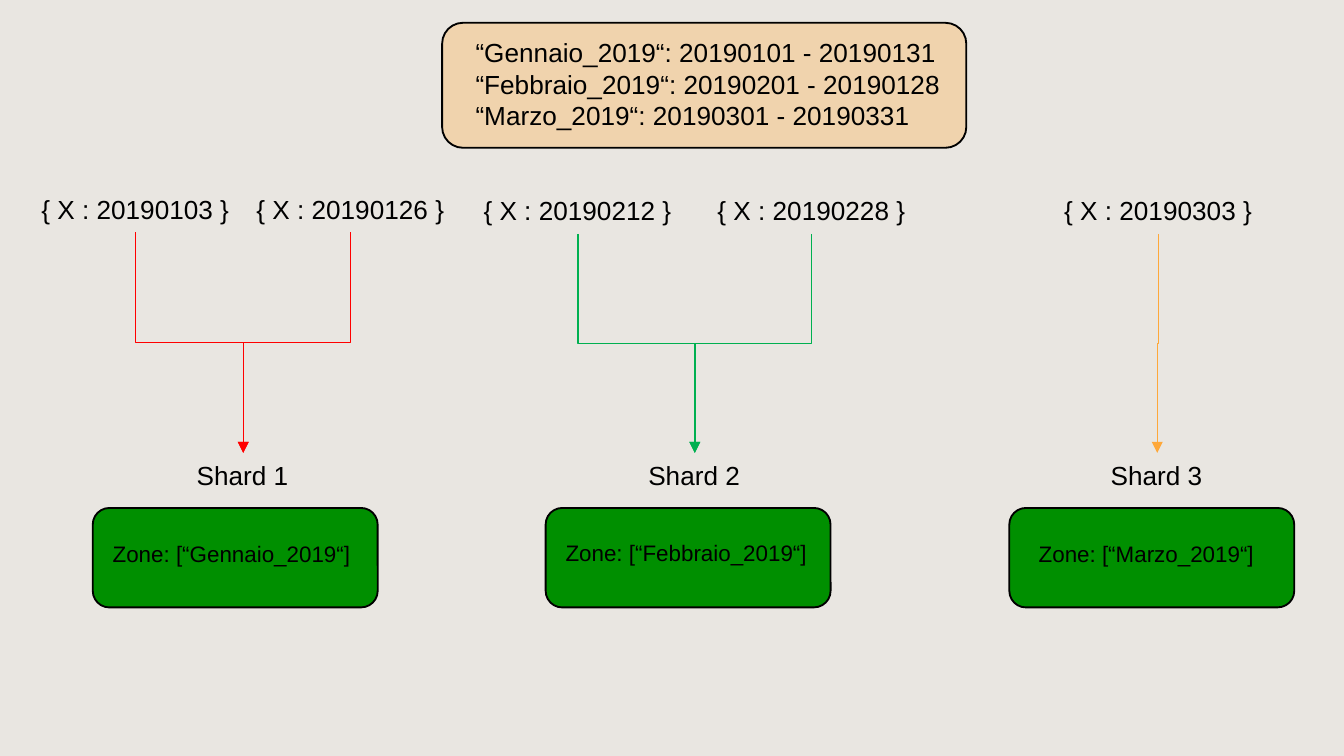
from dataclasses import dataclass

from lxml import etree
from pptx import Presentation
from pptx.dml.color import RGBColor
from pptx.enum.shapes import MSO_CONNECTOR, MSO_SHAPE
from pptx.enum.text import MSO_ANCHOR, MSO_AUTO_SIZE, PP_ALIGN
from pptx.oxml.ns import qn
from pptx.util import Inches, Pt

ROUNDED = MSO_SHAPE.ROUNDED_RECTANGLE
RECTANGLE = MSO_SHAPE.RECTANGLE
ELBOW = MSO_CONNECTOR.ELBOW
TOP = MSO_ANCHOR.TOP
LEFT = PP_ALIGN.LEFT
GROW = MSO_AUTO_SIZE.SHAPE_TO_FIT_TEXT

FONT = "Arial"
COLORS = {
    "background": "E9E6E1",
    "text": "000000",
    "zone": "008F00",
    "ranges": "FFAB40",
    "january": "FF0000",
    "february": "00B050",
    "march": "FEA83A",
}

# Grid of square cells: 100 columns across a 16:9 slide
SLIDE_WIDTH = Inches(10)
SLIDE_HEIGHT = SLIDE_WIDTH * 9 // 16
CELL = SLIDE_WIDTH / 100

LABEL_HEIGHT = 3.4
DOCUMENT_WIDTH = 16
SHARD_WIDTH = 8.9
SHARD_ROW = 33.7
ZONE_ROW, ZONE_WIDTH, ZONE_HEIGHT = 37.8, 21.2, 7.4


@dataclass(frozen=True)
class Box:
    column: float
    row: float
    width: float
    height: float

    def emu(self) -> tuple[int, ...]:
        return tuple(cells(v) for v in (self.column, self.row, self.width, self.height))


@dataclass(frozen=True)
class Document:
    center: float
    value: str


@dataclass(frozen=True)
class Shard:
    name: str
    center: float
    zone_column: float
    zone_label: Box
    zone: str
    color: str
    document_row: float
    documents: tuple[Document, ...]


SHARDS = (
    Shard("Shard 1", 18.1, 6.9, Box(7.4, 39.7, 20.3, 3), "Gennaio_2019", "january", 13.9,
          (Document(10.1, "20190103"), Document(26.1, "20190126"))),
    Shard("Shard 2", 51.7, 40.6, Box(41.1, 39.6, 20.3, 5), "Febbraio_2019", "february", 14,
          (Document(43, "20190212"), Document(60.4, "20190228"))),
    Shard("Shard 3", 86.1, 75.1, Box(76.3, 39.7, 18.8, 5), "Marzo_2019", "march", 14,
          (Document(86.2, "20190303"),)),
)

RANGES_BOX = Box(32.9, 1.7, 39, 9.3)
RANGES = (
    (Box(34.4, 2.2, 36.4, LABEL_HEIGHT), "“Gennaio_2019“: 20190101 - 20190131"),
    (Box(34.4, 4.6, 36.7, LABEL_HEIGHT), "“Febbraio_2019“: 20190201 - 20190128"),
    (Box(34.4, 6.9, 34.4, LABEL_HEIGHT), "“Marzo_2019“: 20190301 - 20190331"),
)


def cells(count: float) -> int:
    return round(count * CELL)


def rgb(name: str) -> RGBColor:
    return RGBColor.from_string(COLORS[name])


def write(shape, text: str, size: int, wrap: bool) -> None:
    frame = shape.text_frame
    frame.text = text
    frame.word_wrap = wrap
    frame.auto_size = GROW
    frame.vertical_anchor = TOP
    paragraph = frame.paragraphs[0]
    paragraph.alignment = LEFT
    font = paragraph.runs[0].font
    font.name, font.size = FONT, Pt(size)
    font.color.rgb = rgb("text")


def add_label(slide, box: Box, text: str) -> None:
    write(slide.shapes.add_textbox(*box.emu()), text, 14, False)


def add_panel(slide, kind, box: Box, color: str, outlined: bool):
    panel = slide.shapes.add_shape(kind, *box.emu())
    panel.shadow.inherit = False
    panel.fill.solid()
    panel.fill.fore_color.rgb = rgb(color)
    if outlined:
        panel.line.color.rgb = rgb("text")
        panel.line.width = Pt(1)
    else:
        panel.line.fill.background()
    return panel


def add_route(slide, start: float, row: float, end: float, color: str) -> None:
    """Elbow that runs down, across and down: a sideways elbow turned a quarter."""
    middle_x, middle_y = (start + end) / 2, (row + SHARD_ROW) / 2
    half_length, half_span = (SHARD_ROW - row) / 2, abs(start - end) / 2
    from_left = start < end
    reach = half_length if from_left else -half_length
    route = slide.shapes.add_connector(
        ELBOW, cells(middle_x + reach), cells(middle_y - half_span),
        cells(middle_x - reach), cells(middle_y + half_span))
    route.line.color.rgb = rgb(color)
    route.line.width = Pt(0.75)
    properties = route._element.spPr
    quarter_turns = 3 if from_left else 1
    properties.find(qn("a:xfrm")).set("rot", str(quarter_turns * 90 * 60000))
    etree.SubElement(properties.find(qn("a:ln")), qn("a:tailEnd"), type="triangle")
    etree.SubElement(properties, qn("a:effectLst"))


def add_shard(slide, shard: Shard) -> None:
    # Zone held by the shard
    add_panel(slide, ROUNDED, Box(shard.zone_column, ZONE_ROW, ZONE_WIDTH, ZONE_HEIGHT),
              "zone", True)
    zone_label = add_panel(slide, RECTANGLE, shard.zone_label, "zone", False)
    write(zone_label, f"Zone: [“{shard.zone}“]", 12, True)
    add_label(slide, Box(shard.center - SHARD_WIDTH / 2, SHARD_ROW, SHARD_WIDTH, LABEL_HEIGHT),
              shard.name)

    # Documents routed to the shard
    for document in shard.documents:
        add_label(slide, Box(document.center - DOCUMENT_WIDTH / 2, shard.document_row,
                             DOCUMENT_WIDTH, LABEL_HEIGHT), f"{{ X : {document.value} }}")
        add_route(slide, document.center, shard.document_row + LABEL_HEIGHT,
                  shard.center, shard.color)


def add_ranges(slide) -> None:
    panel = add_panel(slide, ROUNDED, RANGES_BOX, "ranges", True)
    tint = panel._element.spPr.find(qn("a:solidFill"))[0]
    etree.SubElement(tint, qn("a:alpha"), val="32000")
    for box, text in RANGES:
        add_label(slide, box, text)


def main() -> None:
    presentation = Presentation()
    presentation.slide_width, presentation.slide_height = SLIDE_WIDTH, SLIDE_HEIGHT
    slide = presentation.slides.add_slide(presentation.slide_layouts[6])
    slide.background.fill.solid()
    slide.background.fill.fore_color.rgb = rgb("background")
    for shard in SHARDS:
        add_shard(slide, shard)
    add_ranges(slide)
    presentation.save("out.pptx")


if __name__ == "__main__":
    main()
